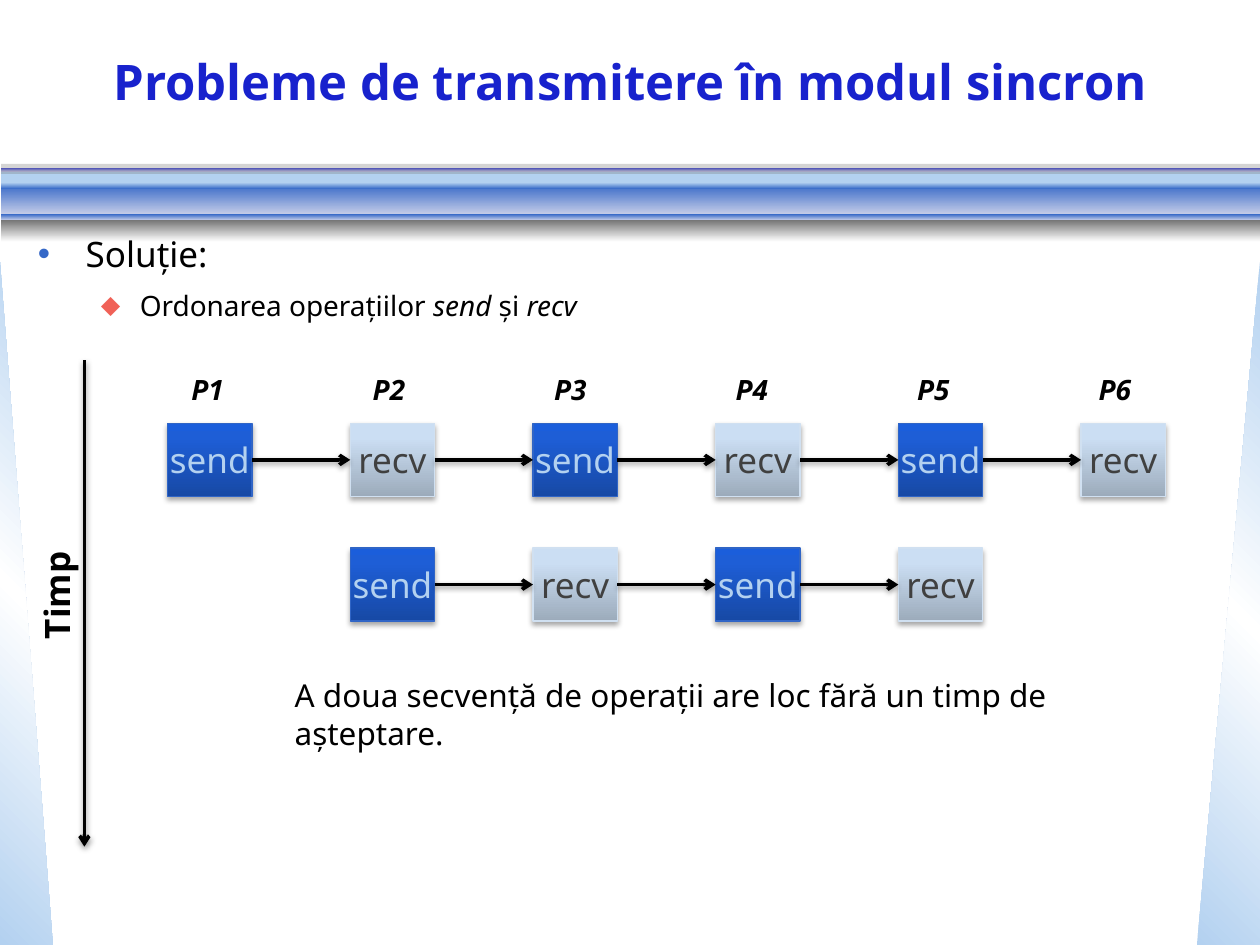
from lxml import etree
from pptx import Presentation, util as u
from pptx.dml.color import RGBColor
from pptx.enum import shapes as kinds, text as t
from pptx.oxml import ns, parse_xml

FONT = "Noto Sans"
COLORS = {"title": "1822CD", "black": "000000", "sky": "B3D1F0", "white": "FFFFFF",
          "blue": "3568C7", "pale": "CAD0E9", "lilac": "BABBE7", "gray": "777777",
          "coral": "F06157"}
# Look of each operation: gradient stops, outline, text
OPERATIONS = {
    "send": {"stops": [(0, "1749A5"), (80, "1E5ED6"), (100, "1B5EDB")],
             "line": "3065C6", "text": "B3D1F0"},
    "recv": {"stops": [(0, "9CABBB"), (80, "CBDEF3"), (100, "CBDFF5")],
             "line": "D0E0F1", "text": "404040"},
}
XMLNS = ns.nsdecls("a")


def inches(*values):
    return [u.Inches(value) for value in values]


def color_xml(color, alpha=100):
    return f'<a:srgbClr val="{color}"><a:alpha val="{alpha * 1000}"/></a:srgbClr>'


def set_values(target, **values):
    for name, value in values.items():
        setattr(target, name, value)


def add_run(paragraph, words, size, color=COLORS["black"], **values):
    run = paragraph.add_run()
    run.text = words
    set_values(run.font, name=FONT, size=u.Pt(size), **values)
    run.font.color.rgb = RGBColor.from_string(color)


def add_text(slide, box, words, size, **values):
    shape = slide.shapes.add_textbox(*inches(*box))
    shape.text_frame.word_wrap = True
    add_run(shape.text_frame.paragraphs[0], words, size, **values)
    return shape


def add_shadow(shape, alpha, distance):
    properties = shape._element.spPr
    for old in properties.findall(ns.qn("a:effectLst")):
        properties.remove(old)
    properties.append(parse_xml(
        f'<a:effectLst {XMLNS}><a:outerShdw blurRad="40000" dist="{distance}" dir="5400000" '
        f'rotWithShape="0">{color_xml(COLORS["black"], alpha)}</a:outerShdw></a:effectLst>'))


def add_filled(slide, box, stops, angle=90, kind=kinds.MSO_SHAPE.RECTANGLE, alpha=100):
    """Shape without outline; a single stop gives a solid fill."""
    shape = slide.shapes.add_shape(kind, *inches(*box))
    if len(stops) == 1:
        fill = f'<a:solidFill {XMLNS}>{color_xml(stops[0][1], alpha)}</a:solidFill>'
    else:
        marks = "".join(f'<a:gs pos="{place * 1000}">{color_xml(color)}</a:gs>'
                        for place, color in stops)
        fill = (f'<a:gradFill {XMLNS} rotWithShape="1"><a:gsLst>{marks}</a:gsLst>'
                f'<a:lin ang="{angle * 60000}" scaled="0"/></a:gradFill>')
    shape._element.spPr.append(parse_xml(fill))
    shape.line.fill.background()
    shape.shadow.inherit = False
    return shape


def add_arrow(slide, start, end):
    arrow = slide.shapes.add_connector(kinds.MSO_CONNECTOR.STRAIGHT, *inches(*start, *end))
    arrow.line.width = u.Pt(2)
    arrow.line.color.rgb = RGBColor.from_string(COLORS["black"])
    etree.SubElement(arrow.line._get_or_add_ln(), ns.qn("a:tailEnd"), type="arrow")
    add_shadow(arrow, 38, 20000)
    return arrow


def build_side_wedges(slide, top, height):
    stops = [(0, COLORS["sky"]), (50, COLORS["white"]), (100, COLORS["sky"])]
    for left, width, angle, flip in ((0, 0.42, 315, "0"), (9.5, 0.5, 45, "1")):
        wedge = add_filled(slide, (left, top, width, height), stops, angle,
                           kinds.MSO_SHAPE.RIGHT_TRIANGLE)
        wedge._element.spPr.xfrm.set("flipH", flip)


def build_band(slide, left, top, width):
    # Strips from back to front: offset, height, colours from top to bottom
    strips = [(0.06, 0.1, ["sky"]), (0.16, 0.25, ["blue", "pale"]),
              (0.03, 0.03, ["title", "lilac"]), (0.4, 0.05, ["blue", "pale"]),
              (0.15, 0.05, ["sky", "blue"]), (0.45, 0.17, ["gray", "white"]),
              (0, 0.08, ["gray"])]
    for offset, height, names in strips:
        stops = [(100 * i, COLORS[name]) for i, name in enumerate(names)]
        add_filled(slide, (left, top + offset, width, height), stops,
                   alpha=31 if names == ["gray"] else 100)


def place(placeholder, box):
    """Moves a placeholder to the front, into the given box."""
    set_values(placeholder, **dict(zip(("left", "top", "width", "height"), inches(*box))))
    placeholder._element.getparent().append(placeholder._element)
    set_values(placeholder.text_frame, auto_size=t.MSO_AUTO_SIZE.NONE, word_wrap=True)
    return placeholder.text_frame


def build_title(slide, box):
    frame = place(slide.shapes.title, box)
    frame.vertical_anchor = t.MSO_ANCHOR.MIDDLE
    frame.paragraphs[0].alignment = t.PP_ALIGN.CENTER
    add_run(frame.paragraphs[0], "Probleme de transmitere în modul sincron", 28,
            COLORS["title"], bold=True)


def build_list(slide, box):
    frame = place(slide.placeholders[1], box)
    # Level, margin, indent, bullet, bullet colour, size, (words, italic) pairs
    items = [
        (0, 0.38, -0.38, "•", "blue", 20, [("Soluție:", False)]),
        (1, 0.81, -0.31, "⬥", "coral", 16,
         [("Ordonarea operațiilor ", False), ("send", True), (" și ", False), ("recv", True)]),
    ]
    for i, (level, margin, indent, bullet, color, size, pieces) in enumerate(items):
        paragraph = frame.add_paragraph() if i else frame.paragraphs[0]
        set_values(paragraph, level=level, line_spacing=0.8,
                   space_before=u.Pt(6), space_after=u.Pt(6))
        properties = paragraph._p.get_or_add_pPr()
        properties.set("marL", str(u.Inches(margin)))
        properties.set("indent", str(u.Inches(indent)))
        properties.append(parse_xml(f'<a:buClr {XMLNS}>{color_xml(COLORS[color])}</a:buClr>'))
        etree.SubElement(properties, ns.qn("a:buChar"), char=bullet)
        for words, italic in pieces:
            add_run(paragraph, words, size, italic=italic)


def build_time_axis(slide, x, top, bottom):
    add_arrow(slide, (x, top), (x, bottom))
    label = add_text(slide, (x - 0.77, 4.4, 1.1, 0.44), "Timp", 20, bold=True)
    label.rotation = 270


def add_operation(slide, box, name):
    look = OPERATIONS[name]
    shape = add_filled(slide, box, look["stops"], 270)
    shape.line.width = u.Pt(0.75)
    shape.line.color.rgb = RGBColor.from_string(look["line"])
    add_shadow(shape, 35, 23000)
    set_values(shape.text_frame, word_wrap=False, vertical_anchor=t.MSO_ANCHOR.MIDDLE)
    paragraph = shape.text_frame.paragraphs[0]
    paragraph.alignment = t.PP_ALIGN.CENTER
    add_run(paragraph, name, 20, look["text"])
    return shape


def build_sequences(slide, left, top, pitch=1.45, row_gap=0.99):
    # Process labels
    for column in range(6):
        add_text(slide, (left + 0.09 + 1.44 * column, top, 0.59, 0.37),
                 f"P{column + 1}", 16, bold=True, italic=True)
    # Rows of alternating operations: first column, number of boxes
    for row, (first, count) in enumerate([(0, 6), (1, 4)]):
        y = top + 0.45 + row * row_gap
        boxes = [add_operation(slide, (left + pitch * (first + i), y, 0.67, 0.58),
                               ("send", "recv")[i % 2]) for i in range(count)]
        for sender, receiver in zip(boxes, boxes[1:]):
            arrow = add_arrow(slide, (0, 0), (1, 0))
            arrow.begin_connect(sender, 3)
            arrow.end_connect(receiver, 1)


def main():
    presentation = Presentation()
    set_values(presentation, slide_width=u.Inches(10), slide_height=u.Inches(7.5))
    slide = presentation.slides.add_slide(presentation.slide_layouts[1])
    # Backdrop
    build_side_wedges(slide, 2.08, 5.42)
    build_band(slide, 0.01, 1.3, 9.99)
    # Content
    build_title(slide, (0.5, 0.38, 9, 0.53))
    build_list(slide, (0.2, 1.86, 9.58, 0.87))
    build_time_axis(slide, 0.67, 2.86, 6.72)
    build_sequences(slide, 1.33, 2.91)
    add_text(slide, (2.24, 5.32, 7.27, 0.4),
             "A doua secvență de operații are loc fără un timp de așteptare.", 18)
    presentation.save("out.pptx")


if __name__ == "__main__":
    main()
